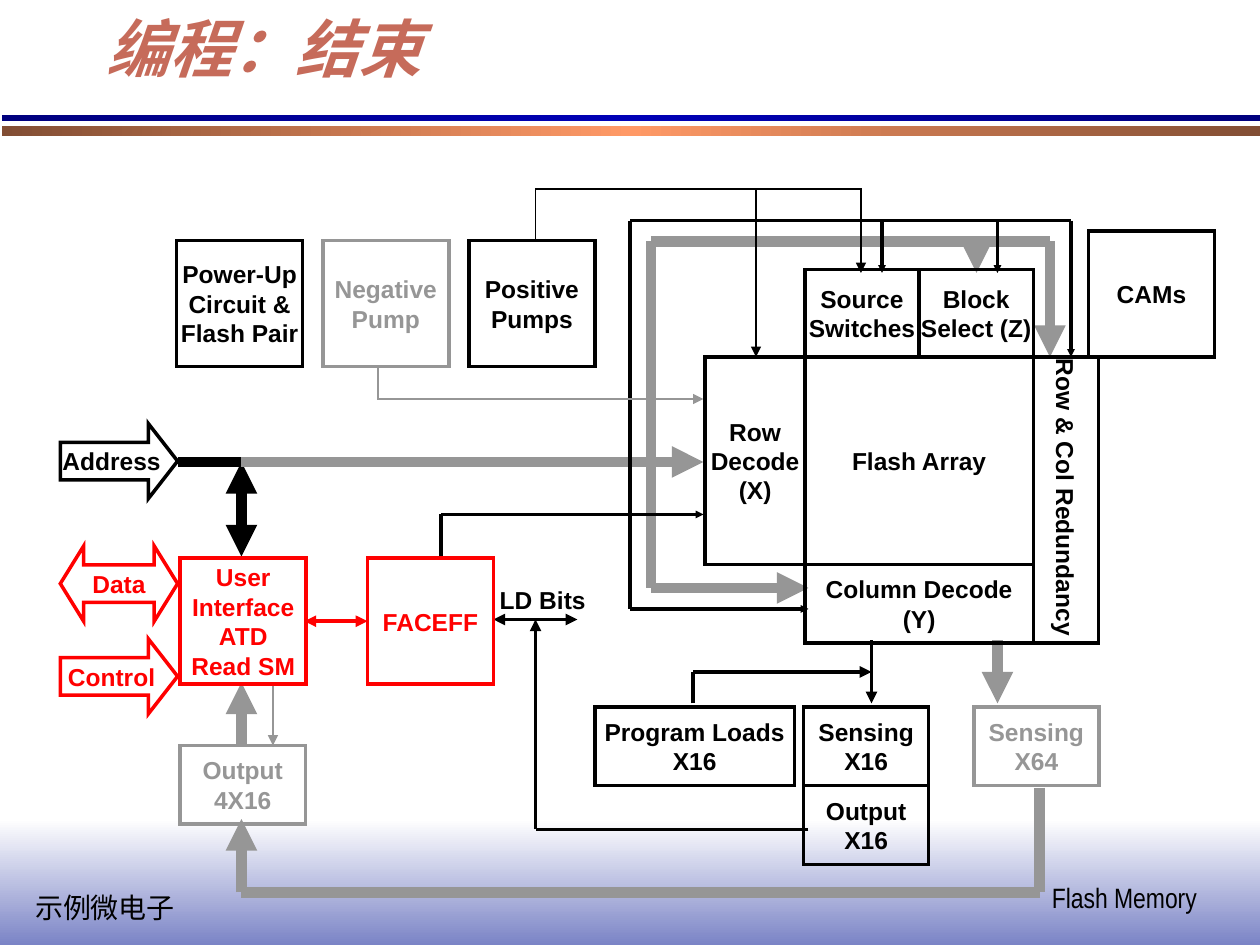
from itertools import pairwise

from lxml import etree
from pptx import Presentation
from pptx.dml.color import RGBColor
from pptx.enum.shapes import MSO_CONNECTOR, MSO_SHAPE
from pptx.enum.text import MSO_ANCHOR, MSO_AUTO_SIZE, PP_ALIGN
from pptx.oxml.ns import qn
from pptx.util import Pt

RECTANGLE = MSO_SHAPE.RECTANGLE
PROCESS = MSO_SHAPE.FLOWCHART_PROCESS
RIGHT_ARROW = MSO_SHAPE.RIGHT_ARROW
BOTH_ARROW = MSO_SHAPE.LEFT_RIGHT_ARROW
STRAIGHT = MSO_CONNECTOR.STRAIGHT
MIDDLE = MSO_ANCHOR.MIDDLE
CENTER = PP_ALIGN.CENTER
LEFT = PP_ALIGN.LEFT
FIT_SHAPE = MSO_AUTO_SIZE.SHAPE_TO_FIT_TEXT
FIXED_SIZE = MSO_AUTO_SIZE.NONE

COLORS = {
    "black": "000000", "gray": "969696", "red": "FF0000", "title": "C66B5A",
    "white": "FFFFFF", "haze": "7B84C6", "brown": "824E34", "orange": "FF9966",
    "navy": "00007E", "blue": "0000B6",
}
THIN, OUTLINE, SIGNAL, BUS = 1, 2, 2.25, 6  # line widths

# Blocks: text, colour, left, top, width, height
PUMP_LEFT, PUMP_STEP = 101, 83.5
BLOCKS = [
    ("User\nInterface\nATD\nRead SM", "red", 103, 319, 72, 72),
    ("FACEFF", "red", 210, 319, 72, 72),
    ("CAMs", "black", 622, 132, 72, 72),
    ("Source\nSwitches", "black", 460, 154, 65.25, 50),
    ("Block\nSelect (Z)", "black", 525.25, 154, 65.25, 50),
    ("Row\nDecode\n(X)", "black", 403, 204, 57, 118.5),
    ("Flash Array", "black", 460, 204, 130.5, 118.5),
    ("Column Decode\n(Y)", "black", 460, 322.5, 130.5, 45),
    ("Program Loads\nX16", "black", 340, 404, 114, 45),
    ("Sensing\nX16", "black", 459.25, 404, 71.5, 45),
    ("Output\nX16", "black", 459.25, 449, 71.5, 45),
    ("Sensing\nX64", "gray", 556.5, 404, 71.5, 45),
    ("Output\n4X16", "gray", 103, 426, 71.5, 45),
]
PUMPS = [
    ("Power-Up\nCircuit &\nFlash Pair", "black"),
    ("Negative\nPump", "gray"),
    ("Positive\nPumps", "black"),
]

# Ports: shape, text, colour, top, head proportion
PORTS = [
    (RIGHT_ARROW, "Address", "black", 242, 0.389),
    (BOTH_ARROW, "Data", "red", 312, 0.31),
    (RIGHT_ARROW, "Control", "red", 365, 0.389),
]

# Routes: points, colour, width, arrow ends, arrow size
ROUTES = [
    ([(570, 366), (570, 402)], "gray", BUS, "tail", "med"),
    ([(594, 450), (594, 510), (138, 510), (138, 468)], "gray", BUS, "tail", "med"),
    ([(138, 426), (138, 390)], "gray", BUS, "tail", "med"),
    ([(156, 390), (156, 426)], "gray", THIN, "tail", "med"),
    ([(138, 264), (138, 318)], "black", BUS, "head tail", "med"),
    ([(138, 264), (402, 264)], "gray", BUS, "tail", "med"),
    ([(462, 336), (372, 336), (372, 138), (600, 138), (600, 204)],
     "gray", BUS, "head tail", "med"),
    ([(558, 138), (558, 156)], "gray", BUS, "tail", "med"),
    ([(102, 264), (138, 264)], "black", BUS, "", "med"),
    ([(462, 348), (360, 348), (360, 126), (612, 126), (612, 204)],
     "black", SIGNAL, "head tail", "sm"),
    ([(252, 318), (252, 294), (402, 294)], "black", SIGNAL, "tail", "sm"),
    ([(504, 126), (504, 156)], "black", SIGNAL, "tail", "sm"),
    ([(570, 126), (570, 156)], "black", SIGNAL, "tail", "sm"),
    ([(282, 354), (330, 354)], "black", SIGNAL, "head tail", "med"),
    ([(462, 474), (306, 474), (306, 354)], "black", SIGNAL, "tail", "med"),
    ([(174, 355), (210, 355)], "red", SIGNAL, "head tail", "med"),
    ([(432, 108), (432, 204)], "black", THIN, "tail", "med"),
    ([(498, 366), (498, 402)], "black", SIGNAL, "tail", "med"),
    ([(396, 402), (396, 384), (498, 384)], "black", SIGNAL, "tail", "med"),
]

# Thin bent supply lines: points, colour
SUPPLY_LINES = [
    ([(216, 210), (216, 228), (402, 228)], "gray"),
    ([(306, 138), (306, 108), (492, 108), (492, 156)], "black"),
]


def rgb(color):
    return RGBColor.from_string(COLORS[color])


def place(*lengths):
    return [Pt(length) for length in lengths]


def style_text(frame, size, color, font="Arial", bold=True, italic=False, align=LEFT):
    for para in frame.paragraphs:
        para.alignment = align
        for span in para.runs:
            span.font.name = font
            span.font.size = Pt(size)
            span.font.bold = bold
            span.font.italic = italic
            span.font.color.rgb = rgb(color)


def add_band(page, area, stops, angle):
    """Draw a borderless rectangle with an evenly spaced gradient."""
    band = page.shapes.add_shape(RECTANGLE, *place(*area))
    band.shadow.inherit = False
    band.line.fill.background()
    band.fill.gradient()
    band.fill.gradient_angle = angle
    stop_list = band._element.spPr.find(".//" + qn("a:gsLst"))
    for old_stop in list(stop_list):
        stop_list.remove(old_stop)
    for index, color in enumerate(stops):
        position = 100000 * index // (len(stops) - 1)
        stop = etree.SubElement(stop_list, qn("a:gs"), pos=str(position))
        etree.SubElement(stop, qn("a:srgbClr"), val=COLORS[color])


def add_label(page, text, area, size, color, **style):
    box = page.shapes.add_textbox(*place(*area))
    frame = box.text_frame
    frame.text = text
    frame.word_wrap = False
    frame.auto_size = FIT_SHAPE
    style_text(frame, size, color, **style)
    return frame


def add_block(page, text, color, *area, kind=PROCESS):
    block = page.shapes.add_shape(kind, *place(*area))
    block.shadow.inherit = False
    block.fill.background()
    style_line(block, color, OUTLINE)
    frame = block.text_frame
    frame.text = text
    frame.word_wrap = False
    frame.vertical_anchor = MIDDLE
    style_text(frame, 14, color, align=CENTER)
    return block


def style_line(shape, color, width, ends="", size="med"):
    shape.line.color.rgb = rgb(color)
    shape.line.width = Pt(width)
    outline = shape.line._get_or_add_ln()
    etree.SubElement(outline, qn("a:miter"), lim="800000")
    for end in ends.split():
        etree.SubElement(outline, qn(f"a:{end}End"), type="triangle", w=size, len=size)


def add_route(page, points, color, width, ends, size):
    """Join the points with straight connectors; arrowheads go on the outer ends."""
    segments = list(pairwise(points))
    for index, (start, finish) in enumerate(segments):
        line = page.shapes.add_connector(STRAIGHT, *place(*start, *finish))
        own_ends = []
        if index == 0 and "head" in ends:
            own_ends.append("head")
        if index == len(segments) - 1 and "tail" in ends:
            own_ends.append("tail")
        style_line(line, color, width, " ".join(own_ends), size)
        etree.SubElement(line._element.spPr, qn("a:effectLst"))


def add_supply_line(page, points, color):
    start, *others = [place(*point) for point in points]
    builder = page.shapes.build_freeform(*start)
    builder.add_line_segments(others, close=False)
    line = builder.convert_to_shape()
    line.fill.background()
    style_line(line, color, THIN, "tail")
    line.shadow.inherit = False


def main():
    deck = Presentation()
    deck.slide_width, deck.slide_height = Pt(720), Pt(540)
    page = deck.slides.add_slide(deck.slide_layouts[6])

    # Page frame
    add_band(page, (0, 468, 720, 72), ["white", "haze"], 270)
    add_band(page, (1, 72, 719, 6), ["brown", "orange", "brown"], 0)
    add_band(page, (1, 66, 719, 3), ["navy", "blue", "navy"], 0)
    footer = {"font": "Arial Narrow", "bold": False}
    add_label(page, "示例微电子", (13, 505.5, 96, 26.5), 16, "black", **footer)
    add_label(page, "Flash Memory", (594, 499.5, 102, 26.5), 16, "black", **footer)

    # Title
    title = add_label(page, "编程：结束", (54, 0, 612, 60), 36, "title",
                      font="Arial Narrow", italic=True)
    title.word_wrap = True
    title.auto_size = FIXED_SIZE
    title.vertical_anchor = MIDDLE
    title.paragraphs[0].line_spacing = 0.88

    # Lines between blocks
    for route in ROUTES:
        add_route(page, *route)
    for supply_line in SUPPLY_LINES:
        add_supply_line(page, *supply_line)

    # Blocks
    for index, (text, color) in enumerate(PUMPS):
        add_block(page, text, color, PUMP_LEFT + index * PUMP_STEP, 137.5, 72, 72)
    for block in BLOCKS:
        add_block(page, *block)
    redundancy = add_block(page, "Row & Col Redundancy", "black",
                           590.5, 204, 37.25, 163.5).text_frame
    redundancy._txBody.bodyPr.set("vert", "eaVert")
    redundancy.margin_left = redundancy.margin_right = Pt(3.6)
    redundancy.margin_top = redundancy.margin_bottom = Pt(1)

    # Ports and the bit label
    for kind, text, color, top, head in PORTS:
        port = add_block(page, text, color, 34.5, top, 67, 43, kind=kind)
        port.adjustments[1] = head
    add_label(page, "LD Bits", (278.5, 330.5, 63.5, 24.5), 14, "black")

    deck.save("out.pptx")


if __name__ == "__main__":
    main()
